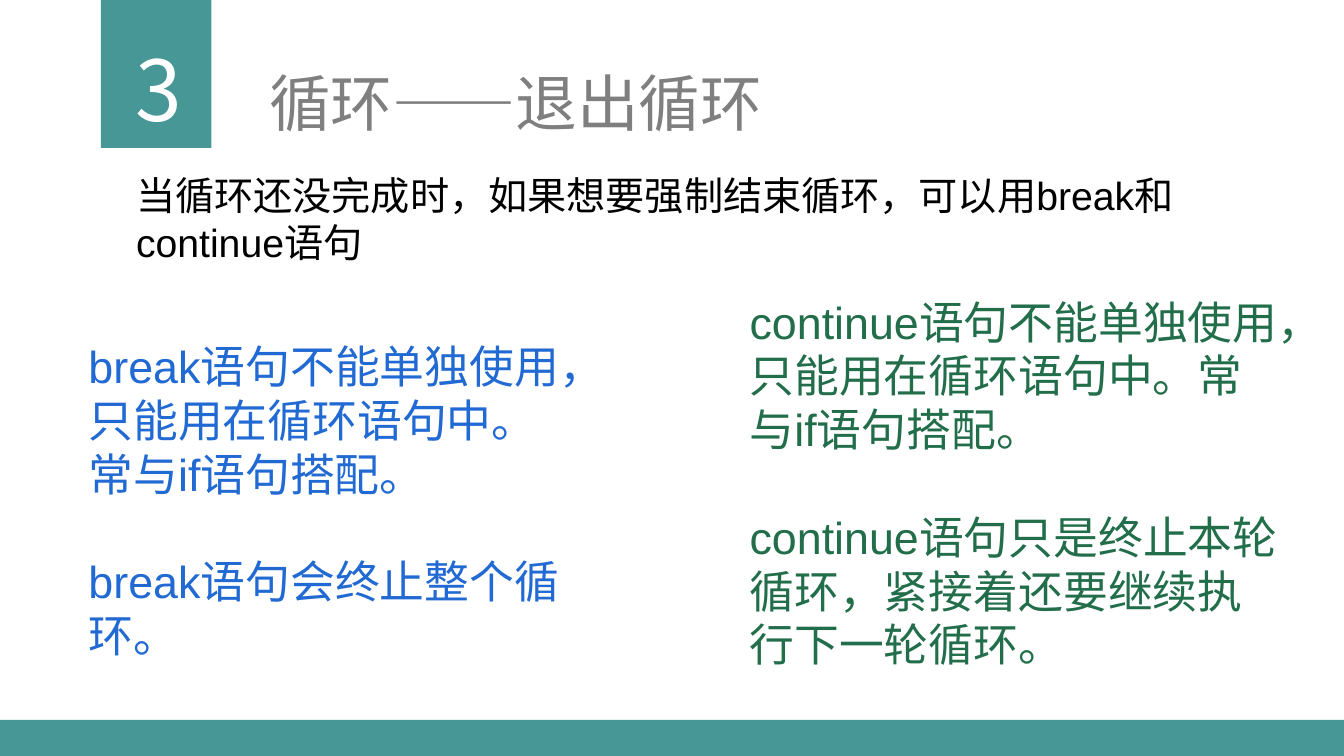
from lxml import etree
from pptx import Presentation
from pptx import util as u
from pptx.dml.color import RGBColor
from pptx.enum import shapes, text
from pptx.oxml.ns import qn

TEAL, GREY, WHITE, BLACK = "479796", "7F7F7F", "FFFFFF", "000000"
BLUE, GREEN = "2169D3", "226E4B"
CJK = "Noto Sans CJK SC"
WIDTH, HEIGHT = 33.87, 19.05


def colour(value):
    return RGBColor.from_string(value)


def place(shape, box):
    shape.left, shape.top, shape.width, shape.height = (u.Cm(n) for n in box)


def add_bar(page, box):
    bar = page.shapes.add_shape(shapes.MSO_SHAPE.RECTANGLE, *(u.Cm(n) for n in box))
    bar.shadow.inherit = False
    bar.fill.solid()
    bar.fill.fore_color.rgb = colour(TEAL)
    bar.line.fill.background()


def write(shape, *paragraphs, size, ink, font="Arial", asian=CJK,
          align=text.PP_ALIGN.LEFT, gap=0):
    frame = shape.text_frame
    frame.word_wrap = True
    frame.auto_size = text.MSO_AUTO_SIZE.NONE
    frame.vertical_anchor = text.MSO_ANCHOR.TOP
    for index, words in enumerate(paragraphs):
        para = frame.add_paragraph() if index else frame.paragraphs[0]
        para.alignment = align
        para.line_spacing = 1.0
        para.space_before = u.Pt(gap if index else 0)
        span = para.add_run()
        span.text = words
        span.font.size = u.Pt(size)
        span.font.name = font
        span.font.color.rgb = colour(ink)
        latin = span.font._element.find(qn("a:latin"))
        east = etree.Element(qn("a:ea"), typeface=asian)
        latin.addnext(east)


def add_text(page, box, *paragraphs, **style):
    shape = page.shapes.add_textbox(*(u.Cm(n) for n in box))
    write(shape, *paragraphs, **style)


def header(page, box, number, heading):
    left, top, width, height = box
    # Numbered tab
    add_bar(page, (left, top, 2.79, height))
    add_text(page, (left + 0.08, top + 0.81, 2.79, 2.82), number, size=60, ink=WHITE,
             font="Noto Sans CJK KR", asian="Noto Sans CJK KR",
             align=text.PP_ALIGN.CENTER)
    # Title
    title = page.shapes.title
    place(title, (left + 3.99, top + 1.5, width - 3.99, 2.13))
    write(title, heading, size=44, ink=GREY, font=CJK)


def statement(page, box, ink, *paragraphs):
    # The gap equals one line of text
    add_text(page, box, *paragraphs, size=32, ink=ink, gap=38.5)


def footer(page, box):
    add_bar(page, box)


def main():
    deck = Presentation()
    deck.slide_width, deck.slide_height = u.Cm(WIDTH), u.Cm(HEIGHT)
    page = deck.slides.add_slide(deck.slide_layouts[5])

    header(page, (2.54, 0, 21.59, 3.73), "3", "循环——退出循环")
    footer(page, (0, HEIGHT - 0.91, WIDTH, 0.91))

    # Introduction
    add_text(page, (3.18, 4.19, 27.2, 2.64),
             "当循环还没完成时，如果想要强制结束循环，可以用break和continue语句",
             size=28, ink=BLACK)

    # Two statements side by side
    usage = "语句不能单独使用，只能用在循环语句中。常与if语句搭配。"
    statement(page, (1.98, 8.41, 12.62, 8.46), BLUE,
              "break" + usage, "break语句会终止整个循环。")
    statement(page, (18.64, 7.29, 14.02, 11.2), GREEN,
              "continue" + usage,
              "continue语句只是终止本轮循环，紧接着还要继续执行下一轮循环。")

    deck.save("out.pptx")


if __name__ == "__main__":
    main()
